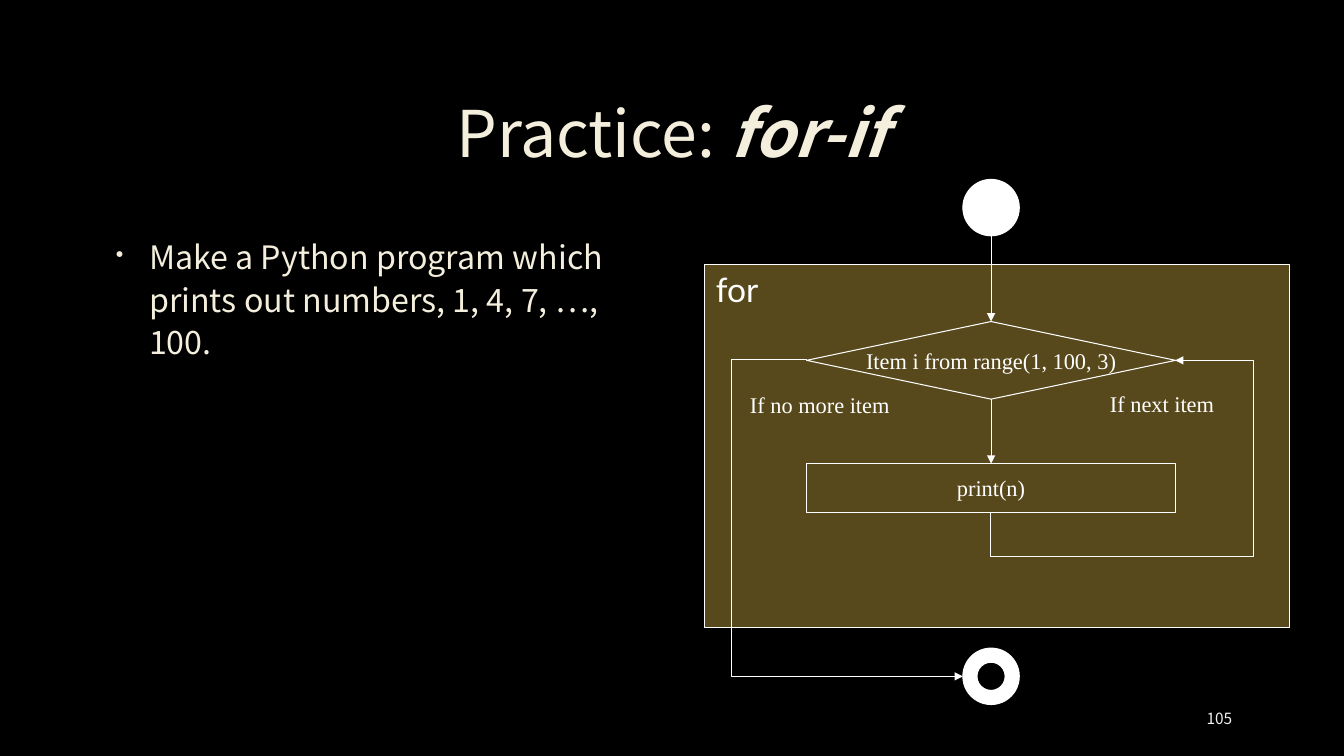
"""Build the for-if practice slide with its loop flowchart."""
from dataclasses import dataclass, field
from typing import Any, Optional

from lxml import etree
from pptx import Presentation
from pptx import util as u
from pptx.dml.color import RGBColor
from pptx.enum import shapes, text
from pptx.oxml.ns import qn

Box = tuple[float, float, float, float]
Point = tuple[float, float]
KIND = shapes.MSO_SHAPE
LINK = shapes.MSO_CONNECTOR
ALIGN = text.PP_ALIGN
ANCHOR = text.MSO_ANCHOR


@dataclass(frozen=True)
class Theme:
    background: str = "000000"
    cream: str = "F4EEDC"
    white: str = "FFFFFF"
    page: str = "F2F2F2"
    loop: str = "58491C"
    sans: str = "Noto Sans CJK KR"
    lato: str = "Lato"
    serif: str = "Times New Roman"
    title_size: float = 46
    loop_size: float = 24
    body_size: float = 23
    step_size: float = 16
    page_size: float = 11
    line: float = 0.75


THEME = Theme()


@dataclass(frozen=True)
class Wording:
    runs: tuple[str, ...]
    font: str = THEME.serif
    size: float = THEME.step_size
    color: str = THEME.white
    frame: dict[str, Any] = field(default_factory=dict)
    paragraph: dict[str, Any] = field(default_factory=dict)


@dataclass(frozen=True)
class Node:
    kind: Any
    box: Box
    fill: Optional[str] = None
    wording: Optional[Wording] = None


@dataclass(frozen=True)
class Label:
    box: Box
    wording: Wording


@dataclass(frozen=True)
class Bend:
    preset: str
    start: Point
    end: Point
    adjust: tuple[int, ...]
    turn: int = 0


def apply(target: Any, values: dict[str, Any]) -> None:
    """Set every named value on the target."""
    for name, value in values.items():
        setattr(target, name, value)


def rgb(color: str) -> RGBColor:
    """Turn a hex string into a colour."""
    return RGBColor.from_string(color)


def inches(values: tuple[float, ...]) -> list[u.Length]:
    """Turn numbers into lengths."""
    return [u.Inches(value) for value in values]


def write(shape: Any, wording: Wording) -> Any:
    """Write the wording into a shape and return its paragraph."""
    apply(shape.text_frame, {"word_wrap": True, **wording.frame})
    paragraph = shape.text_frame.paragraphs[0]
    apply(paragraph, wording.paragraph)
    for words in wording.runs:
        run = paragraph.add_run()
        run.text = words
        apply(run.font, {"name": wording.font, "size": u.Pt(wording.size)})
        run.font.color.rgb = rgb(wording.color)
    return paragraph


def add_label(slide: Any, label: Label) -> Any:
    """Add a text box and return its paragraph."""
    return write(slide.shapes.add_textbox(*inches(label.box)), label.wording)


def add_node(slide: Any, node: Node) -> Any:
    """Add an outlined flowchart node."""
    shape = slide.shapes.add_shape(node.kind, *inches(node.box))
    shape.shadow.inherit = False
    if node.fill:
        shape.fill.solid()
        shape.fill.fore_color.rgb = rgb(node.fill)
    else:
        shape.fill.background()
    shape.line.color.rgb = rgb(THEME.white)
    shape.line.width = u.Pt(THEME.line)
    if node.wording:
        write(shape, node.wording)
    return shape


def add_arrow(slide: Any, kind: Any, start: Point, end: Point) -> Any:
    """Add a white connector with an arrowhead at its end."""
    arrow = slide.shapes.add_connector(kind, *inches(start + end))
    arrow.line.color.rgb = rgb(THEME.white)
    arrow.line.width = u.Pt(THEME.line)
    etree.SubElement(arrow.line._get_or_add_ln(), qn("a:tailEnd"), type="triangle")
    etree.SubElement(arrow._element.spPr, qn("a:effectLst"))
    return arrow


def add_bend(slide: Any, bend: Bend) -> None:
    """Add an elbow arrow with its own bends and rotation."""
    properties = add_arrow(slide, LINK.ELBOW, bend.start, bend.end)._element.spPr
    if bend.turn:
        properties.find(qn("a:xfrm")).set("rot", str(bend.turn * 60000))
    geometry = properties.find(qn("a:prstGeom"))
    geometry.set("prst", bend.preset)
    guides = geometry.find(qn("a:avLst"))
    for number, value in enumerate(bend.adjust, 1):
        etree.SubElement(guides, qn("a:gd"), name=f"adj{number}", fmla=f"val {value}")


def add_bullet(paragraph: Any) -> None:
    """Give the paragraph a small cream bullet with a hanging indent."""
    properties = paragraph._p.get_or_add_pPr()
    apply_indent = {"marL": u.Inches(0.38), "indent": u.Inches(-0.33)}
    for name, value in apply_indent.items():
        properties.set(name, str(int(value)))
    color = etree.SubElement(properties, qn("a:buClr"))
    etree.SubElement(color, qn("a:srgbClr"), val=THEME.cream)
    etree.SubElement(properties, qn("a:buSzPct"), val="70000")
    etree.SubElement(properties, qn("a:buChar"), char="•")


MIDDLE = {"vertical_anchor": ANCHOR.MIDDLE}
CENTER = {"alignment": ALIGN.CENTER}
TEST_BOX = (8, 3.19, 3.66, 0.77)
AXIS = 9.83

TITLE = Label((1, 0.67, 11.32, 1.38), Wording(
    ("Practice: ", "for-if"), THEME.sans, THEME.title_size, THEME.cream,
    MIDDLE, {**CENTER, "line_spacing": 0.9}))
TASK = Label((1, 2.27, 5.31, 3.96), Wording(
    ("Make a Python program which prints out numbers, 1, 4, 7, …, 100.",),
    THEME.sans, THEME.body_size, THEME.cream,
    paragraph={"line_spacing": 1.1, "space_after": u.Pt(6)}))
PAGE = Label((11.5, 6.93, 0.82, 0.4), Wording(
    ("105",), THEME.sans, THEME.page_size, THEME.page,
    MIDDLE, {"alignment": ALIGN.RIGHT}))
LOOP = Node(KIND.RECTANGLE, (6.99, 2.62, 5.8, 3.61), THEME.loop, Wording(
    ("for",), THEME.lato, THEME.loop_size,
    frame={"vertical_anchor": ANCHOR.TOP, "word_wrap": False,
           "margin_left": u.Inches(0.11), "margin_right": u.Inches(0.11)},
    paragraph={"alignment": ALIGN.LEFT}))
START = Node(KIND.OVAL, (9.55, 1.78, 0.56, 0.56), THEME.white)
FINISH = Node(KIND.DONUT, (9.55, 6.43, 0.56, 0.56), THEME.white)
PRINT = Node(KIND.RECTANGLE, (8, 4.6, 3.66, 0.48), None,
             Wording(("print(n)",), frame=MIDDLE, paragraph=CENTER))
TEST = Node(KIND.DIAMOND, TEST_BOX)
FLOW_LABELS = (
    Label(TEST_BOX, Wording(("Item i from range(1, 100, 3)",),
                            frame=MIDDLE, paragraph=CENTER)),
    Label((10.91, 3.82, 1.41, 0.37), Wording(("If next item",))),
    Label((7.34, 3.83, 3.24, 0.37), Wording(("If no more item",))),
)
BENDS = (
    Bend("bentConnector3", (8, 3.57), (9.55, 6.71), (-47800,)),
    Bend("bentConnector4", (9.99, 3.41), (11.49, 5.24), (-29700, 142600), 270),
)


def main() -> None:
    """Draw the slide and save it."""
    deck = Presentation()
    apply(deck, {"slide_width": u.Inches(13.33), "slide_height": u.Inches(7.5)})
    slide = deck.slides.add_slide(deck.slide_layouts[6])
    slide.background.fill.solid()
    slide.background.fill.fore_color.rgb = rgb(THEME.background)
    title = add_label(slide, TITLE)
    apply(title.runs[1].font, {"bold": True, "italic": True})
    add_bullet(add_label(slide, TASK))
    add_label(slide, PAGE)
    for node in (LOOP, START, FINISH):
        add_node(slide, node)
    step, test = add_node(slide, PRINT), add_node(slide, TEST)
    add_arrow(slide, LINK.STRAIGHT, (AXIS, 2.34), (AXIS, 3.19)).end_connect(test, 0)
    repeat = add_arrow(slide, LINK.STRAIGHT, (AXIS, 3.96), (AXIS, 4.6))
    repeat.begin_connect(test, 2)
    repeat.end_connect(step, 0)
    for bend in BENDS:
        add_bend(slide, bend)
    for label in FLOW_LABELS:
        add_label(slide, label)
    deck.save("out.pptx")


if __name__ == "__main__":
    main()
